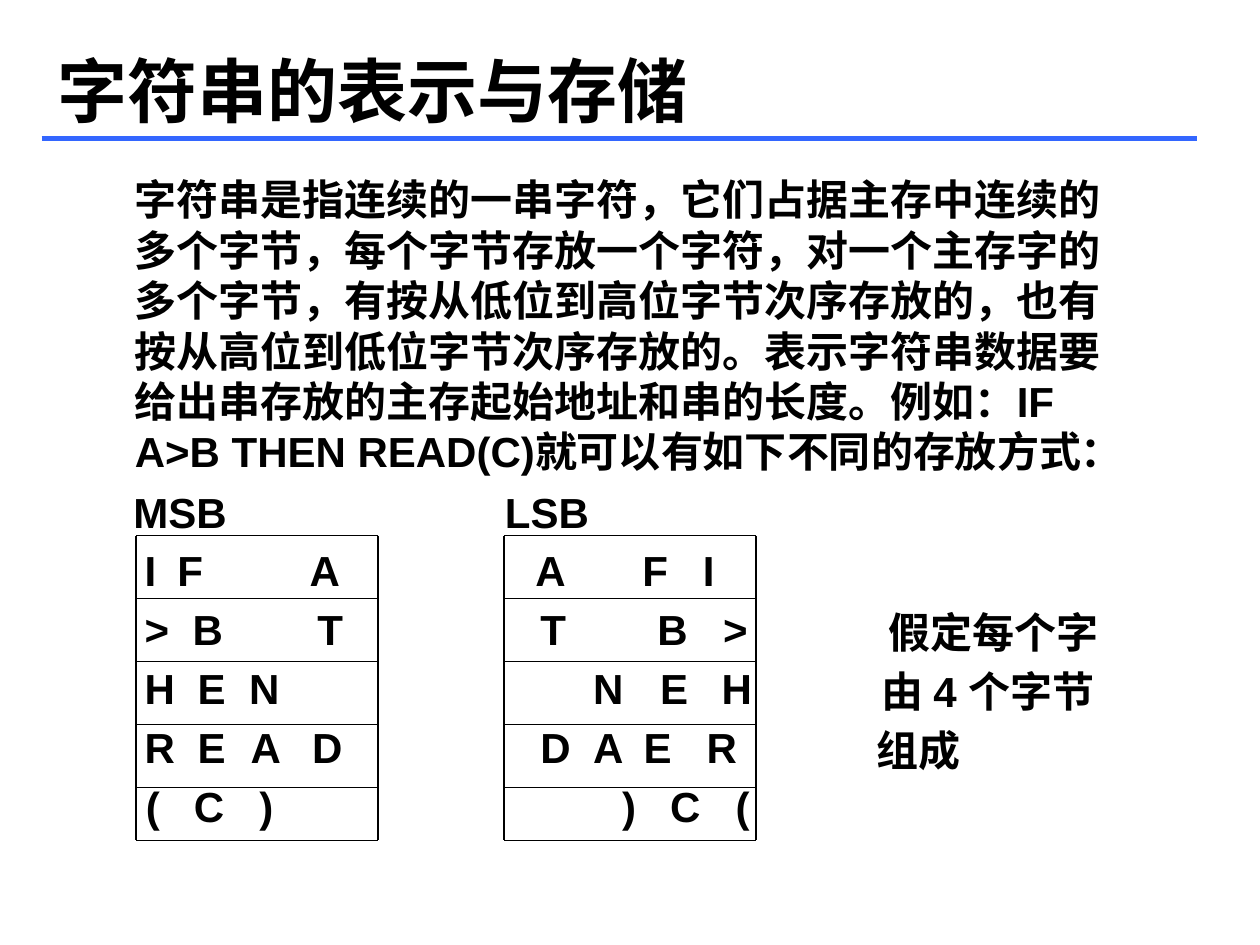
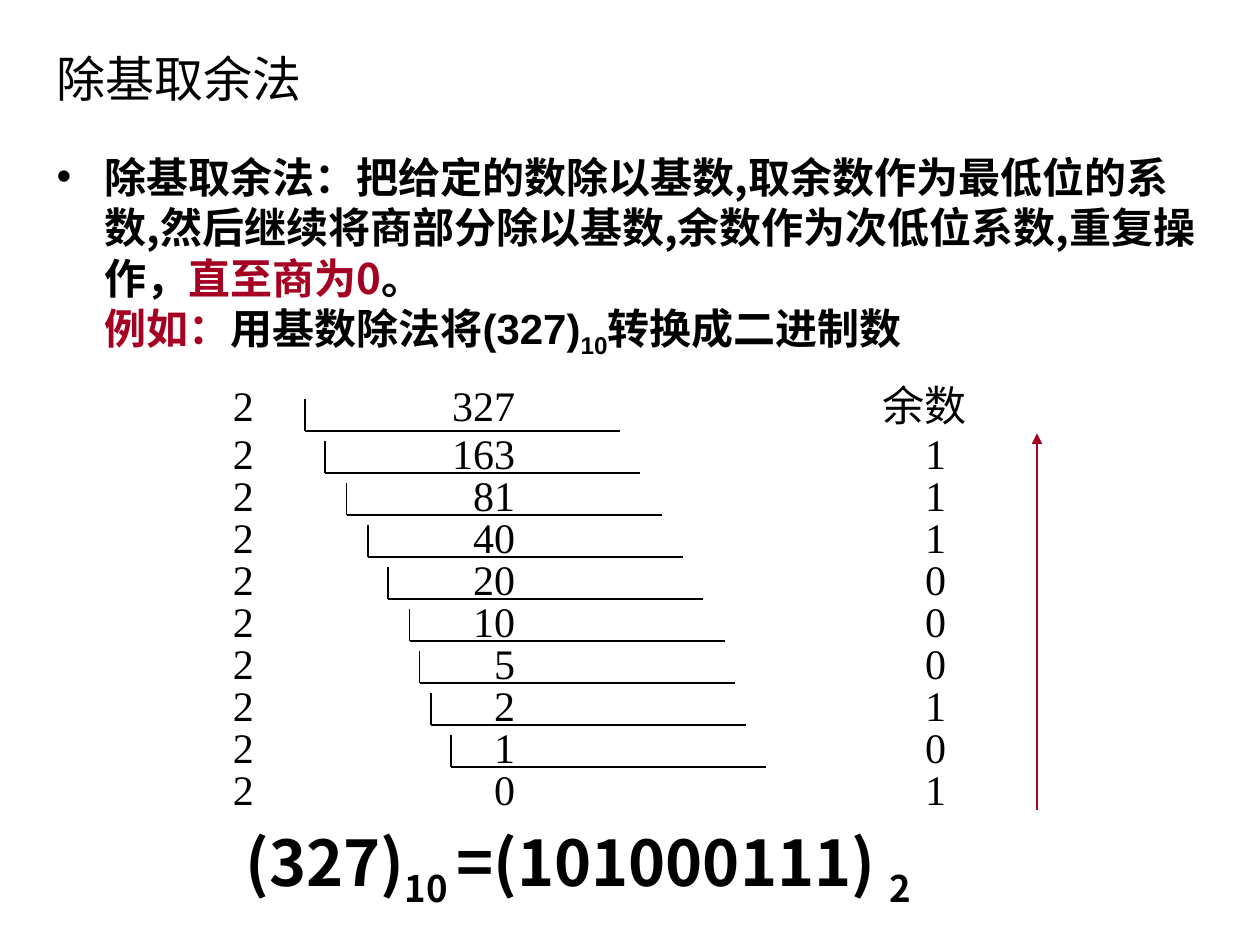
import pptx
import pptx.dml.color
import pptx.enum.shapes
import pptx.enum.text
import pptx.oxml
import pptx.oxml.ns
import pptx.util
from pptx.util import Inches

BLACK, WHITE, BLUE, RED = "000000", "FFFFFF", "3366FF", "A50021"
SANS, CJK, SERIF = "Arial", "Noto Sans CJK SC", "Times New Roman"
LEFT = pptx.enum.text.PP_ALIGN.LEFT
MIDDLE = pptx.enum.text.MSO_ANCHOR.MIDDLE
TOP = pptx.enum.text.MSO_ANCHOR.TOP
TEXT_INSET = 0.1

STORAGE_TITLE = "字符串的表示与存储"
STORAGE_TEXT = (
    "字符串是指连续的一串字符，它们占据主存中连续的多个字节，每个字节存放一个字符，"
    "对一个主存字的多个字节，有按从低位到高位字节次序存放的，也有按从高位到低位字节次序存放的。"
    "表示字符串数据要给出串存放的主存起始地址和串的长度。"
    "例如：IF A>B THEN READ(C)就可以有如下不同的存放方式："
)
MSB_ROWS = [
    [("MSB", 1.06)],
    [("I", 1.15), ("F", 1.41), ("A", 2.46)],
    [(">", 1.15), ("B", 1.53), ("T", 2.52)],
    [("H", 1.15), ("E", 1.57), ("N", 1.98)],
    [("R", 1.15), ("E", 1.57), ("A", 1.99), ("D", 2.48)],
    [("(", 1.16), ("C", 1.54), (")", 2.06)],
]
LSB_ROWS = [
    [("LSB", 4.01)],
    [("A", 4.25), ("F", 5.1), ("I", 5.58)],
    [("T", 4.29), ("B", 5.22), (">", 5.74)],
    [("N", 4.71), ("E", 5.24), ("H", 5.73)],
    [("D", 4.29), ("A", 4.71), ("E", 5.11), ("R", 5.61)],
    [(")", 4.94), ("C", 5.32), ("(", 5.84)],
]
NOTE_ROWS = [[("假定每个字", 7.05)], [("由 4 个字节", 7.0)], [("组成", 6.96)]]
STORAGE_BLOCKS = [
    (MSB_ROWS, (0.9, 3.74, 2.3, 2.9)),
    (LSB_ROWS, (3.8, 3.74, 2.4, 2.9)),
    (NOTE_ROWS, (6.8, 4.7, 2.4, 1.5)),
]
STORAGE_PITCH = 33.7
MEMORY_SIDES = [(1.08, 3), (4, 6)]
MEMORY_LEVELS = [4.25, 4.75, 5.25, 5.75, 6.25, 6.67]

DIVISION_TITLE = "除基取余法"
DIVISION_TEXT = [
    ("除基取余法：把给定的数除以基数,取余数作为最低位的系数,然后继续将商部分除以基数,"
     "余数作为次低位系数,重复操作，", CJK, BLACK, False),
    ("直至商为0", CJK, RED, False),
    ("。", CJK, BLACK, False),
    ("\n", SANS, BLACK, False),
    ("例如：", SANS, RED, False),
    ("用基数除法将(327)", SANS, BLACK, False),
    ("10", SANS, BLACK, True),
    ("转换成二进制数", SANS, BLACK, False),
]
DIVISION_RESULT = [("(327)", False), ("10 ", True), ("=(101000111) ", False), ("2", True)]
NUMBER, BASE, REMAINDER_HEADING = 327, 2, "余数"
BRACKET_LEFTS = [2.42, 2.58, 2.75, 2.92, 3.08, 3.25, 3.33, 3.42, 3.58]
ROW_STEP = 1 / 3


def color(value):
    return pptx.dml.color.RGBColor.from_string(value)


def set_attributes(target, values):
    for name, value in values.items():
        setattr(target, name, value)


def add_element(parent, tag, **attributes):
    element = pptx.oxml.parse_xml(f"<a:{tag} {pptx.oxml.ns.nsdecls('a')}/>")
    for name, value in attributes.items():
        element.set(name, str(value))
    parent.append(element)
    return element


def add_text(paragraph, text, size, font=SANS, ink=BLACK, bold=False, subscript=False):
    if text == "\n":
        paragraph.add_line_break()
        return
    run = paragraph.add_run()
    run.text = text
    set_attributes(run.font, {"size": pptx.util.Pt(size), "name": font, "bold": bold})
    run.font.color.rgb = color(ink)
    properties = run.font._element
    add_element(properties, "ea", typeface=CJK)
    if subscript:
        properties.set("baseline", "-25000")


def indent(paragraph, margin, first_line=0):
    properties = paragraph._p.get_or_add_pPr()
    properties.set("marL", str(Inches(margin)))
    properties.set("indent", str(Inches(first_line)))
    return properties


def add_tabs(paragraph, positions, alignment):
    tabs = add_element(paragraph._p.get_or_add_pPr(), "tabLst")
    for position in positions:
        add_element(tabs, "tab", pos=Inches(position), algn=alignment)


def place(shape, box):
    names = ("left", "top", "width", "height")
    set_attributes(shape, {name: Inches(length) for name, length in zip(names, box)})


def fill_placeholder(shape, box, anchor):
    place(shape, box)
    set_attributes(shape.text_frame, {
        "auto_size": pptx.enum.text.MSO_AUTO_SIZE.NONE,
        "vertical_anchor": anchor, "word_wrap": True,
    })
    paragraph = shape.text_frame.paragraphs[0]
    paragraph.alignment = LEFT
    return paragraph


def add_title(slide, text, box, size, bold):
    paragraph = fill_placeholder(slide.shapes.title, box, MIDDLE)
    add_text(paragraph, text, size, bold=bold)
    return paragraph


def add_line(slide, start, end, ink=BLACK, width=0.75, arrow=False):
    line = slide.shapes.add_connector(
        pptx.enum.shapes.MSO_CONNECTOR.STRAIGHT,
        *(Inches(length) for length in (*start, *end)))
    line.line.color.rgb = color(ink)
    line.line.width = pptx.util.Pt(width)
    if arrow:
        add_element(line.line._get_or_add_ln(), "tailEnd", type="triangle")
    add_element(line._element.spPr, "effectLst")


def add_panel(slide, box):
    panel = slide.shapes.add_shape(
        pptx.enum.shapes.MSO_SHAPE.RECTANGLE, *(Inches(length) for length in box))
    panel.shadow.inherit = False
    panel.fill.solid()
    panel.fill.fore_color.rgb = color(WHITE)
    panel.line.color.rgb = color(WHITE)
    panel.line.width = pptx.util.Pt(0.75)
    set_attributes(panel.text_frame, {"word_wrap": True, "vertical_anchor": MIDDLE})
    paragraph = panel.text_frame.paragraphs[0]
    paragraph.alignment = LEFT
    return paragraph


def add_storage_block(slide, rows, box):
    frame = slide.shapes.add_textbox(*(Inches(length) for length in box)).text_frame
    set_attributes(frame, {"word_wrap": True, "vertical_anchor": TOP})
    text_left = box[0] + TEXT_INSET
    for index, row in enumerate(rows):
        paragraph = frame.add_paragraph() if index else frame.paragraphs[0]
        set_attributes(paragraph, {
            "alignment": LEFT, "line_spacing": pptx.util.Pt(STORAGE_PITCH)})
        add_tabs(paragraph, [left - text_left for _, left in row], "l")
        add_text(paragraph, "".join("\t" + text for text, _ in row), 24, bold=True)


def build_storage_slide(presentation):
    slide = presentation.slides.add_slide(presentation.slide_layouts[1])
    add_title(slide, STORAGE_TITLE, (0.36, 0.17, 8.5, 1.08), 40, True)
    paragraph = fill_placeholder(slide.placeholders[1], (0.59, 1.33, 8.5, 2.5), TOP)
    add_element(indent(paragraph, 0.38), "buNone")
    add_text(paragraph, STORAGE_TEXT, 24, bold=True)
    for rows, box in STORAGE_BLOCKS:
        add_storage_block(slide, rows, box)

    for left, right in MEMORY_SIDES:
        for level in MEMORY_LEVELS:
            add_line(slide, (left, level), (right, level))
        for side in (left, right):
            add_line(slide, (side, MEMORY_LEVELS[0]), (side, MEMORY_LEVELS[-1]))
    add_line(slide, (0.33, 1.1), (9.5, 1.1), BLUE, 3)


def add_division_row(slide, box, quotient, remainder, tabs):
    paragraph = add_panel(slide, box)
    add_tabs(paragraph, tabs, "r")
    add_text(paragraph, f"{BASE}\t{quotient}\t{remainder}", 24, SERIF)


def build_division_slide(presentation):
    slide = presentation.slides.add_slide(presentation.slide_layouts[1])
    title = add_title(slide, DIVISION_TITLE, (0.35, 0.28, 8.08, 0.63), 28, False)
    title.line_spacing = 1.1
    indent(title, 0.62, -0.62)
    paragraph = fill_placeholder(slide.placeholders[1], (0.35, 1.15, 9.29, 1.81), TOP)
    indent(paragraph, 0.38, -0.38)
    for text, font, ink, subscript in DIVISION_TEXT:
        add_text(paragraph, text, 24, font, ink, True, subscript)

    add_division_row(slide, (1.75, 2.92, 7.67, 0.58), NUMBER, REMAINDER_HEADING, (2.24, 5.82))
    quotient = NUMBER
    for index in range(len(BRACKET_LEFTS)):
        quotient, remainder = divmod(quotient, BASE)
        add_division_row(slide, (1.75, 3.47 + index * ROW_STEP, 6.83, 0.25),
                         quotient, remainder, (2.24, 5.66))
    for index, left in enumerate(BRACKET_LEFTS):
        bottom = 3.42 + index * ROW_STEP
        add_line(slide, (left, bottom), (left + 2.5, bottom))
        add_line(slide, (left, bottom - 0.25), (left, bottom))

    result = add_panel(slide, (1.85, 6.59, 5.92, 0.58))
    for text, subscript in DIVISION_RESULT:
        add_text(result, text, 36, CJK, BLACK, True, subscript)
    add_line(slide, (8.23, 6.43), (8.23, 3.44), RED, arrow=True)


def main():
    presentation = pptx.Presentation()
    set_attributes(presentation, {"slide_width": Inches(10), "slide_height": Inches(7.5)})
    build_storage_slide(presentation)
    build_division_slide(presentation)
    presentation.save("out.pptx")


if __name__ == "__main__":
    main()
